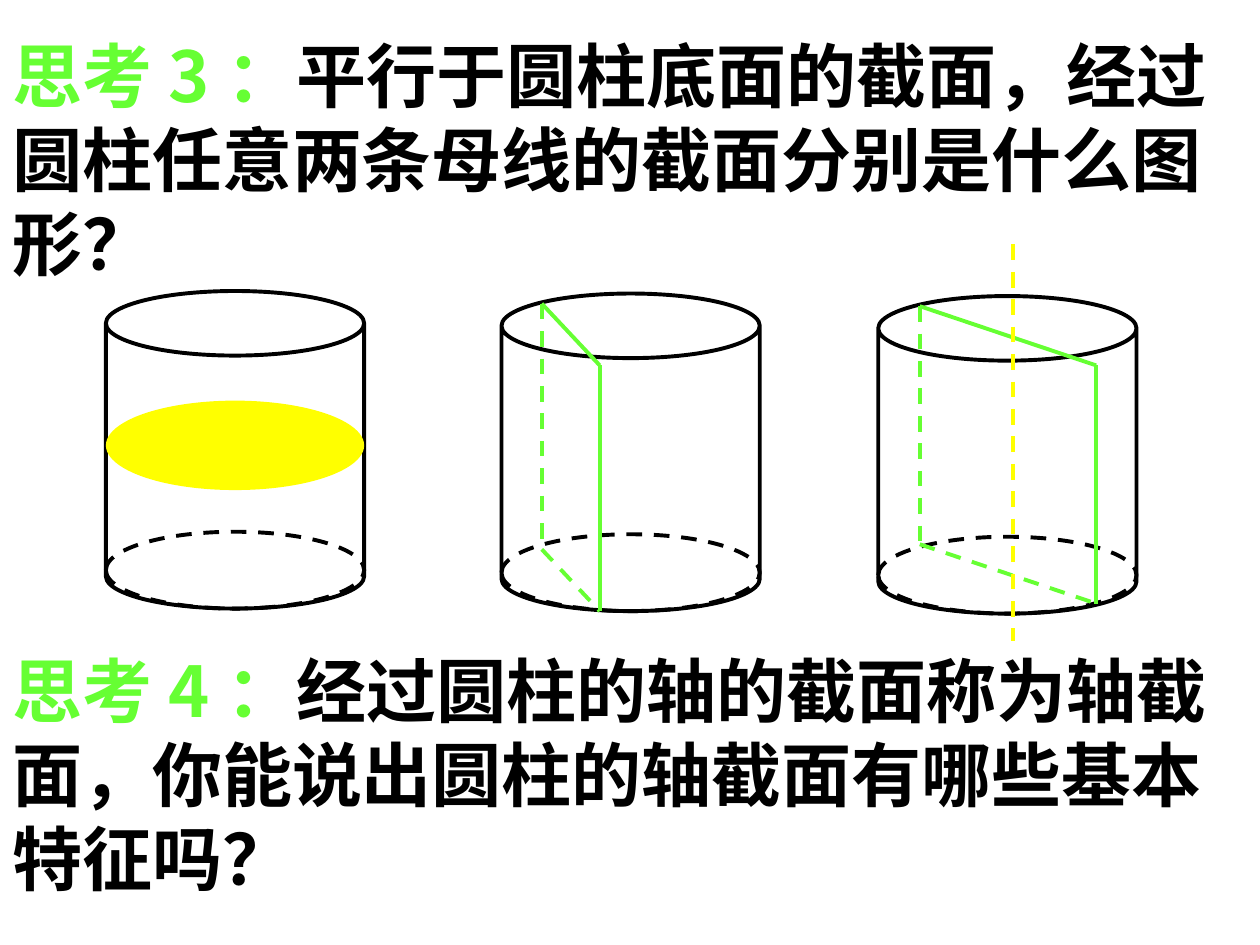
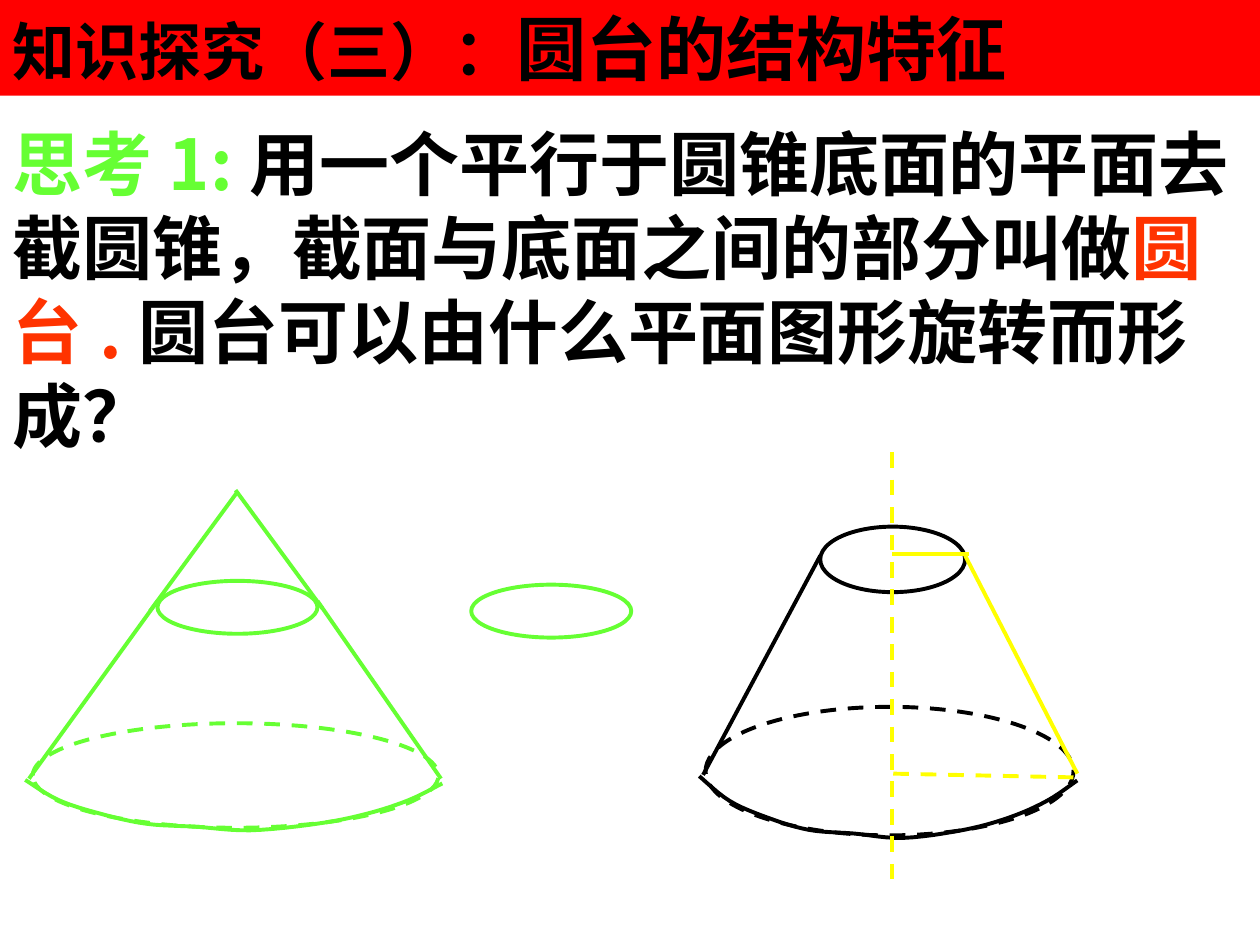
from lxml import etree
from pptx import Presentation
from pptx.dml.color import RGBColor
from pptx.enum.dml import MSO_LINE
from pptx.enum.shapes import MSO_CONNECTOR, MSO_SHAPE
from pptx.enum.text import MSO_ANCHOR, MSO_AUTO_SIZE, PP_ALIGN
from pptx.oxml.ns import qn
from pptx.util import Inches, Pt

DASH = MSO_LINE.DASH
STRAIGHT = MSO_CONNECTOR.STRAIGHT
CAN, ELLIPSE = MSO_SHAPE.CAN, MSO_SHAPE.OVAL
MIDDLE, LEFT, NO_FIT = MSO_ANCHOR.MIDDLE, PP_ALIGN.LEFT, MSO_AUTO_SIZE.NONE

WIDTH, HEIGHT = 10, 7.5
TITLE_ONLY, BLANK = 5, 6
FONT, TITLE_FONT = "Noto Sans CJK SC", "Arial"
BODY_SIZE, LINE_WIDTH = 40, 2.25
COLORS = {"black": "000000", "green": "66FF33", "yellow": "FFFF00",
          "red": "FF0000", "term": "FF3300"}

# Wording: (text, colour) spans, and (text, size) spans for the title
QUESTION_3 = [("思考3：", "green"),
              ("平行于圆柱底面的截面，经过圆柱任意两条母线的截面分别是什么图形？", "black")]
QUESTION_4 = [("思考4：", "green"),
              ("经过圆柱的轴的截面称为轴截面，你能说出圆柱的轴截面有哪些基本特征吗？", "black")]
QUESTION_1 = [("思考1:", "green"),
              ("用一个平行于圆锥底面的平面去截圆锥，截面与底面之间的部分叫做", "black"),
              ("圆台.", "term"),
              ("圆台可以由什么平面图形旋转而形成？", "black")]
TITLE = [("知识探究（三）：", 36), ("圆台的结构特征", 40)]

# Cylinders: left and top of each, with one common size
CYLINDERS = [(0.84, 2.31), (3.98, 2.33), (6.97, 2.35)]
CYLINDER_WIDTH, CYLINDER_HEIGHT, BASE_HEIGHT = 2.05, 2.52, 0.61

# Sections: back top, front top, back bottom, front bottom corners
SECTIONS = [((4.3, 2.41), (4.76, 2.9), (4.3, 4.36), (4.76, 4.85)),
            ((7.3, 2.43), (8.7, 2.9), (7.3, 4.32), (8.7, 4.79))]

# Lines: start, end, colour, dashed
CYLINDER_AXIS = [((8.04, 1.94), (8.04, 5.09), "yellow", True)]
CONE_LINES = [((3.5, 6.18), (2.52, 4.77), "green", False),
              ((1.25, 4.77), (0.23, 6.18), "green", False),
              ((1.19, 4.85), (1.88, 3.91), "green", False),
              ((2.56, 4.83), (1.87, 3.89), "green", False)]
FRUSTUM_LINES = [((8.55, 6.14), (7.66, 4.41), "yellow", False),
                 ((6.51, 4.41), (5.58, 6.15), "black", False),
                 ((7.08, 3.59), (7.08, 7), "yellow", True),
                 ((8.52, 6.17), (7.08, 6.14), "yellow", True),
                 ((7.08, 4.4), (7.69, 4.4), "yellow", False)]

# Ellipses: left, top, width, height, colour, dashed
CONE_ELLIPSES = [(1.25, 4.61, 1.27, 0.42, "green", False),
                 (0.26, 5.74, 3.22, 0.83, "green", True),
                 (3.74, 4.64, 1.27, 0.42, "green", False)]
FRUSTUM_ELLIPSES = [(6.51, 4.18, 1.15, 0.52, "black", False),
                    (5.6, 5.61, 2.92, 1.02, "black", True)]

# Front rim: knots as shares of its width and depth
RIM = [(0, 0), (0.08, 0.4), (0.18, 0.67), (0.29, 0.87), (0.41, 0.93),
       (0.54, 1), (0.7, 0.87), (0.82, 0.67), (0.92, 0.4), (1, 0.07)]
RIM_STEPS = 6


def color(name):
    return RGBColor.from_string(COLORS[name])


def set_line(item, name, dashed=False):
    item.line.color.rgb = color(name)
    item.line.width = Pt(LINE_WIDTH)
    if dashed:
        item.line.dash_style = DASH


def add_outline(page, kind, left, top, width, height, name, dashed=False):
    shape = page.shapes.add_shape(kind, *map(Inches, (left, top, width, height)))
    shape.shadow.inherit = False
    shape.fill.background()
    set_line(shape, name, dashed)
    return shape


def add_lines(page, lines):
    for start, end, name, dashed in lines:
        line = page.shapes.add_connector(STRAIGHT, *map(Inches, start + end))
        set_line(line, name, dashed)
        etree.SubElement(line._element.spPr, qn("a:effectLst"))


def add_ellipses(page, ellipses):
    for left, top, width, height, name, dashed in ellipses:
        add_outline(page, ELLIPSE, left, top, width, height, name, dashed)


def smooth(knots):
    """Points on a curve that runs through all the knots."""
    ends = [knots[0], *knots, knots[-1]]
    points = [knots[0]]
    for before, start, end, after in zip(ends, ends[1:], ends[2:], ends[3:]):
        for step in range(1, RIM_STEPS + 1):
            t = step / RIM_STEPS
            points.append(tuple(
                b + t / 2 * (c - a + t * (2 * a - 5 * b + 4 * c - d
                                          + t * (3 * b - a - 3 * c + d)))
                for a, b, c, d in zip(before, start, end, after)))
    return points


def add_rim(page, left, top, width, depth, name):
    points = [(Inches(left + x * width), Inches(top + y * depth))
              for x, y in smooth(RIM)]
    builder = page.shapes.build_freeform(*points[0])
    builder.add_line_segments(points[1:], close=False)
    rim = builder.convert_to_shape()
    rim.shadow.inherit = False
    rim.fill.background()
    set_line(rim, name)


def add_question(page, spans, top, width, height):
    box = page.shapes.add_textbox(0, Inches(top), Inches(width), Inches(height))
    box.text_frame.word_wrap = True
    para = box.text_frame.paragraphs[0]
    para.font.name, para.font.size, para.font.bold = FONT, Pt(BODY_SIZE), True
    for text, name in spans:
        span = para.add_run()
        span.text = text
        span.font.color.rgb = color(name)
        etree.SubElement(span.font._element, qn("a:ea"), typeface=FONT)


def add_title(page):
    band = page.shapes.title
    band.left, band.top, band.width, band.height = map(Inches, (0, 0, WIDTH, 0.76))
    band.fill.solid()
    band.fill.fore_color.rgb = color("red")
    frame = band.text_frame
    frame.auto_size, frame.vertical_anchor = NO_FIT, MIDDLE
    para = frame.paragraphs[0]
    para.alignment = LEFT
    para.font.name, para.font.bold = TITLE_FONT, True
    para.font.color.rgb = color("black")
    for text, size in TITLE:
        span = para.add_run()
        span.text = text
        span.font.size = Pt(size)


def build_cylinder_page(deck):
    page = deck.slides.add_slide(deck.slide_layouts[BLANK])
    add_question(page, QUESTION_3, 0.21, 9.73, 2.1)
    add_question(page, QUESTION_4, 5.09, WIDTH, 2.1)
    for left, top in CYLINDERS:
        add_outline(page, CAN, left, top, CYLINDER_WIDTH, CYLINDER_HEIGHT, "black")
        add_outline(page, ELLIPSE, left, top + CYLINDER_HEIGHT - BASE_HEIGHT,
                    CYLINDER_WIDTH, BASE_HEIGHT, "black", True)
    # Section parallel to the base
    disc = add_outline(page, ELLIPSE, CYLINDERS[0][0], 3.18, CYLINDER_WIDTH, 0.71, "yellow")
    disc.line.fill.background()
    disc.fill.solid()
    disc.fill.fore_color.rgb = color("yellow")
    # Sections through two generating lines
    for back_top, front_top, back_bottom, front_bottom in SECTIONS:
        add_lines(page, [(back_top, front_top, "green", False),
                         (back_bottom, front_bottom, "green", True),
                         (back_top, back_bottom, "green", True),
                         (front_top, front_bottom, "green", False)])
    add_lines(page, CYLINDER_AXIS)


def build_frustum_page(deck):
    page = deck.slides.add_slide(deck.slide_layouts[TITLE_ONLY])
    add_title(page)
    add_question(page, QUESTION_1, 0.91, WIDTH, 2.77)
    # Cone cut by a plane
    add_ellipses(page, CONE_ELLIPSES)
    add_rim(page, 0.2, 6.19, 3.31, 0.4, "green")
    add_lines(page, CONE_LINES)
    # Frustum with its axis
    add_ellipses(page, FRUSTUM_ELLIPSES)
    add_rim(page, 5.55, 6.16, 3, 0.49, "black")
    add_lines(page, FRUSTUM_LINES)


def main():
    deck = Presentation()
    deck.slide_width, deck.slide_height = Inches(WIDTH), Inches(HEIGHT)
    build_cylinder_page(deck)
    build_frustum_page(deck)
    deck.save("out.pptx")


if __name__ == "__main__":
    main()
